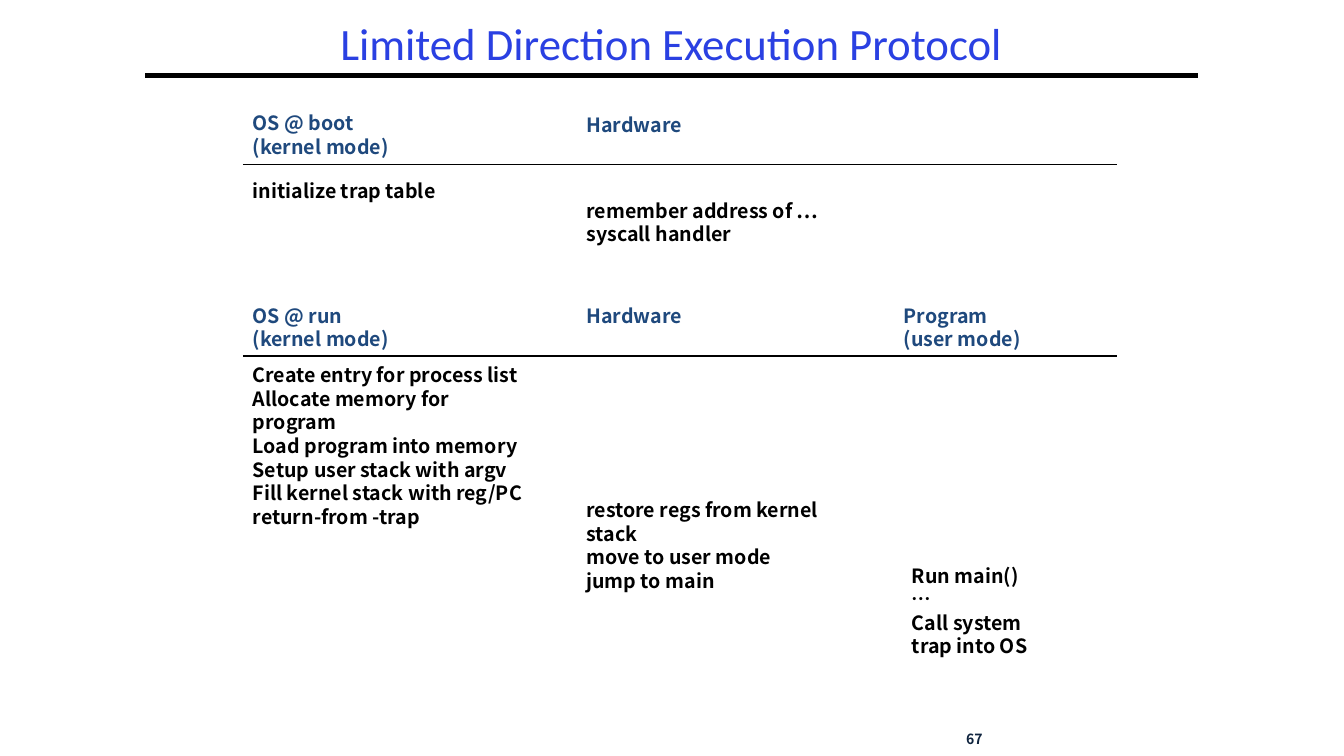
import lxml.etree
import pptx
import pptx.dml.color
import pptx.enum.shapes
import pptx.enum.text
import pptx.oxml.ns
import pptx.util

Cm = pptx.util.Cm
Pt = pptx.util.Pt
Align = pptx.enum.text.PP_ALIGN
Anchor = pptx.enum.text.MSO_ANCHOR

COLORS = {
    "title": "2A40E2",
    "heading": "1F497D",
    "body": "000000",
    "rule": "000000",
    "number": "0F243E",
}


def color(name):
    return pptx.dml.color.RGBColor.from_string(COLORS[name])


class ProtocolSlide:
    title_font = "Calibri"
    body_font = "Noto Sans CJK KR"
    body_size = 14
    line_pitch = 16.9
    line_height = 0.6
    padding = 0.25

    def __init__(self, deck):
        self.page = deck.slides.add_slide(deck.slide_layouts[6])

    def text(self, left, top, width, height, lines, role, size, font,
             bold=True, align=Align.LEFT, anchor=Anchor.TOP, spacing=None):
        box = self.page.shapes.add_textbox(Cm(left), Cm(top), Cm(width), Cm(height))
        frame = box.text_frame
        frame.word_wrap = True
        frame.vertical_anchor = anchor
        frame.text = "\n".join(lines)
        for para in frame.paragraphs:
            para.alignment = align
            para.line_spacing = spacing
            para.font.name = font
            para.font.size = Pt(size)
            para.font.bold = bold
            para.font.color.rgb = color(role)

    def title(self, words):
        self.text(3.66, 0.43, 26.52, 1.47, [words], "title", 32, self.title_font,
                  bold=False, align=Align.CENTER, anchor=Anchor.MIDDLE, spacing=0.9)

    def number(self, words):
        self.text(22.12, 18.31, 2.97, 0.61, [words], "number", 10, self.body_font,
                  align=Align.RIGHT, anchor=Anchor.MIDDLE)

    def steps(self, left, top, width, lines, role="body", wrapped=0):
        height = self.padding + (len(lines) + wrapped) * self.line_height
        self.text(left, top, width, height, lines, role, self.body_size,
                  self.body_font, spacing=Pt(self.line_pitch))

    def heading(self, left, top, lines):
        self.steps(left, top, 4.8, lines, "heading")

    def rule(self, left, right, top, weight):
        line = self.page.shapes.add_connector(
            pptx.enum.shapes.MSO_CONNECTOR.STRAIGHT,
            Cm(left), Cm(top), Cm(right), Cm(top))
        line.line.color.rgb = color("rule")
        line.line.width = Pt(weight)
        properties = line._element.spPr
        lxml.etree.SubElement(properties, pptx.oxml.ns.qn("a:effectLst"))


def main():
    deck = pptx.Presentation()
    deck.slide_width = Cm(33.87)
    deck.slide_height = Cm(19.05)
    slide = ProtocolSlide(deck)
    system, hardware, program, table_right = 6.12, 14.53, 22.53, 28.14

    slide.rule(3.66, 30.2, 1.9, 3)
    slide.title("Limited Direction Execution Protocol")
    slide.number("67 ")

    slide.heading(system, 2.67, ["OS @ boot", "(kernel mode)"])
    slide.heading(hardware, 2.72, ["Hardware"])
    slide.rule(system, table_right, 4.14, 1)
    slide.steps(system, 4.39, 6.43, ["initialize trap table"])
    slide.steps(hardware, 4.88, 6.43, ["remember address of …", "syscall handler"])

    slide.heading(system, 7.52, ["OS @ run", "(kernel mode)"])
    slide.heading(hardware, 7.52, ["Hardware"])
    slide.heading(program, 7.52, ["Program", "(user mode)"])
    slide.rule(system, table_right, 8.97, 1)
    slide.steps(system, 9.02, 7.59, [
        "Create entry for process list",
        "Allocate memory for program",
        "Load program into memory",
        "Setup user stack with argv",
        "Fill kernel stack with reg/PC",
        "return-from -trap",
    ], wrapped=1)
    slide.steps(hardware, 12.42, 7.59, [
        "restore regs from kernel stack",
        "move to user mode",
        "jump to main",
    ], wrapped=1)
    slide.steps(program + 0.2, 14.07, 6.4, [
        "Run main()", "…", "Call system", "trap into OS",
    ])

    deck.save("out.pptx")


if __name__ == "__main__":
    main()
